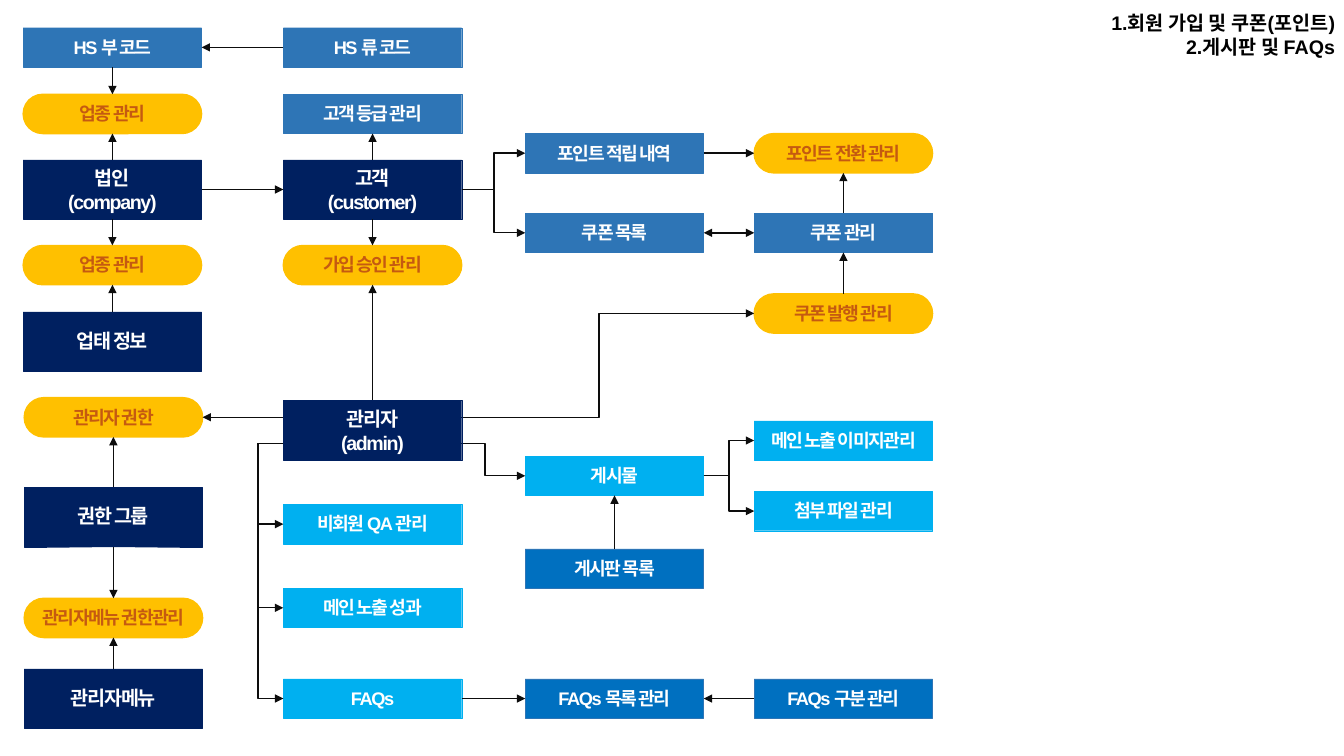
from typing import NamedTuple, Optional

from lxml import etree
from pptx import Presentation
from pptx.dml.color import RGBColor
from pptx.enum.shapes import MSO_CONNECTOR, MSO_SHAPE
from pptx.enum.text import MSO_ANCHOR, MSO_AUTO_SIZE, PP_ALIGN
from pptx.oxml.ns import qn
from pptx.util import Inches, Pt

RECT, ROUND = MSO_SHAPE.RECTANGLE, MSO_SHAPE.ROUNDED_RECTANGLE
STRAIGHT, ELBOW = MSO_CONNECTOR.STRAIGHT, MSO_CONNECTOR.ELBOW
CENTER, RIGHT_ALIGNED = PP_ALIGN.CENTER, PP_ALIGN.RIGHT
MIDDLE, FIT_TEXT = MSO_ANCHOR.MIDDLE, MSO_AUTO_SIZE.SHAPE_TO_FIT_TEXT
TOP, LEFT, BOTTOM, RIGHT = range(4)

COLORS = {
    "navy": "002060", "blue": "2E75B6", "royal": "0070C0", "sky": "00B0F0",
    "amber": "FFC000", "rust": "C55A11", "white": "FFFFFF",
    "ink": "0D0D0D", "black": "000000",
}
FONT = "Arial"

# Grid in inches: column left edges, box width, box heights
COLUMNS = {"company": 0.23, "rights": 0.24, "customer": 2.81, "list": 5.21, "manage": 7.48}
BOX_WIDTH = 1.77
TALL, LOW = 0.59, 0.39
INSET = 0.18  # how far lines start inside the admin box


class Style(NamedTuple):
    outline: str
    text: str = "white"
    height: float = LOW
    size: int = 13
    geometry: MSO_SHAPE = RECT
    line_width: float = 0.25


class Box(NamedTuple):
    column: str
    middle: float
    style: str
    lines: tuple[str, ...]


class Arrow(NamedTuple):
    source: str
    source_side: int
    target: str
    target_side: int
    two_way: bool = False


class Branch(NamedTuple):
    x: float
    y: float
    target: str
    lane: Optional[float]  # x of the vertical stretch; None for a straight line
    target_side: int = LEFT


STYLES = {
    "navy": Style("navy", height=TALL, size=14),
    "blue": Style("blue"),
    "royal": Style("blue"),
    "sky": Style("sky"),
    "amber": Style("amber", text="rust", geometry=ROUND, line_width=1),
}

BOXES = {
    # Company column
    "hs_section": Box("company", 0.47, "blue", ("HS 부 코드",)),
    "hs_business": Box("company", 1.13, "amber", ("업종 관리",)),
    "company": Box("company", 1.88, "navy", ("법인", "(company)")),
    "business": Box("company", 2.63, "amber", ("업종 관리",)),
    "business_type": Box("company", 3.39, "navy", ("업태 정보",)),
    # Administrator rights
    "admin_right": Box("rights", 4.14, "amber", ("관리자 권한",)),
    "right_group": Box("rights", 5.13, "navy", ("권한 그룹",)),
    "menu_right": Box("rights", 6.13, "amber", ("관리자메뉴 권한관리",)),
    "admin_menu": Box("rights", 6.93, "navy", ("관리자메뉴",)),
    # Customer and admin column
    "hs_chapter": Box("customer", 0.47, "blue", ("HS 류 코드",)),
    "grade": Box("customer", 1.13, "blue", ("고객 등급 관리",)),
    "customer": Box("customer", 1.88, "navy", ("고객", "(customer)")),
    "approval": Box("customer", 2.63, "amber", ("가입 승인 관리",)),
    "admin": Box("customer", 4.27, "navy", ("관리자", "(admin)")),
    "guest_qa": Box("customer", 5.2, "sky", ("비회원 QA 관리",)),
    "main_result": Box("customer", 6.03, "sky", ("메인 노출 성과",)),
    "faqs": Box("customer", 6.93, "sky", ("FAQs",)),
    # Lists
    "points": Box("list", 1.52, "blue", ("포인트 적립 내역",)),
    "coupons": Box("list", 2.31, "blue", ("쿠폰 목록",)),
    "post": Box("list", 4.72, "sky", ("게시물",)),
    "boards": Box("list", 5.64, "royal", ("게시판 목록",)),
    "faq_list": Box("list", 6.93, "royal", ("FAQs 목록 관리",)),
    # Management
    "point_exchange": Box("manage", 1.52, "amber", ("포인트 전환 관리",)),
    "coupon_manage": Box("manage", 2.31, "blue", ("쿠폰 관리",)),
    "coupon_issue": Box("manage", 3.11, "amber", ("쿠폰 발행 관리",)),
    "main_image": Box("manage", 4.37, "sky", ("메인 노출 이미지관리",)),
    "attachment": Box("manage", 5.07, "sky", ("첨부 파일 관리",)),
    "faq_kind": Box("manage", 6.93, "royal", ("FAQs 구분 관리",)),
}

ARROWS = [
    Arrow("hs_chapter", LEFT, "hs_section", RIGHT),
    Arrow("hs_section", BOTTOM, "hs_business", TOP),
    Arrow("company", TOP, "hs_business", BOTTOM),
    Arrow("company", BOTTOM, "business", TOP),
    Arrow("business_type", TOP, "business", BOTTOM),
    Arrow("company", RIGHT, "customer", LEFT),
    Arrow("customer", TOP, "grade", BOTTOM),
    Arrow("customer", BOTTOM, "approval", TOP),
    Arrow("admin", TOP, "approval", BOTTOM),
    Arrow("right_group", TOP, "admin_right", BOTTOM),
    Arrow("right_group", BOTTOM, "menu_right", TOP),
    Arrow("admin_menu", TOP, "menu_right", BOTTOM),
    Arrow("points", RIGHT, "point_exchange", LEFT),
    Arrow("coupon_manage", LEFT, "coupons", RIGHT, two_way=True),
    Arrow("coupon_manage", TOP, "point_exchange", BOTTOM),
    Arrow("coupon_issue", TOP, "coupon_manage", BOTTOM),
    Arrow("boards", TOP, "post", BOTTOM),
    Arrow("faqs", RIGHT, "faq_list", LEFT),
    Arrow("faq_kind", LEFT, "faq_list", RIGHT),
]

ADMIN_LEFT = COLUMNS["customer"] + INSET
CUSTOMER_EDGE = COLUMNS["customer"] + BOX_WIDTH
ADMIN_RIGHT = CUSTOMER_EDGE - INSET
POST_EDGE = COLUMNS["list"] + BOX_WIDTH
UPPER, LOWER = 4.14, 4.4  # heights at which lines leave the admin box

BRANCHES = [
    Branch(ADMIN_LEFT, UPPER, "admin_right", None, RIGHT),
    *(Branch(ADMIN_LEFT, LOWER, name, 2.56) for name in ("guest_qa", "main_result", "faqs")),
    Branch(ADMIN_RIGHT, UPPER, "coupon_issue", 5.94),
    Branch(ADMIN_RIGHT, LOWER, "post", 4.81),
    *(Branch(CUSTOMER_EDGE, 1.88, name, 4.9) for name in ("points", "coupons")),
    *(Branch(POST_EDGE, 4.72, name, 7.23) for name in ("main_image", "attachment")),
]


def rgb(name: str) -> RGBColor:
    return RGBColor.from_string(COLORS[name])


def write(frame, lines, size: int, color: str, align, spacing: int = 0) -> None:
    frame.text = "\n".join(lines)
    for paragraph in frame.paragraphs:
        paragraph.alignment = align
        font = paragraph.font
        font.name, font.size, font.bold = FONT, Pt(size), True
        font.color.rgb = rgb(color)
        if spacing:
            font._element.set("spc", str(spacing))


def draw_box(slide, box: Box):
    style = STYLES[box.style]
    shape = slide.shapes.add_shape(
        style.geometry, Inches(COLUMNS[box.column]), Inches(box.middle - style.height / 2),
        Inches(BOX_WIDTH), Inches(style.height))
    if style.geometry == ROUND:
        shape.adjustments[0] = 0.5
    shape.shadow.inherit = False
    shape.fill.solid()
    shape.fill.fore_color.rgb = rgb(box.style)
    shape.line.color.rgb = rgb(style.outline)
    shape.line.width = Pt(style.line_width)
    frame = shape.text_frame
    frame.word_wrap, frame.vertical_anchor = True, MIDDLE
    frame.margin_left = frame.margin_right = frame.margin_top = frame.margin_bottom = 0
    write(frame, box.lines, style.size, style.text, CENTER, spacing=-100)
    if len(box.lines) == 1:
        frame.margin_top = Inches(0.04)
        frame.paragraphs[0].line_spacing = Pt(12)
    return shape


def finish_line(line, two_way: bool = False) -> None:
    line.line.color.rgb = rgb("ink")
    line.line.width = Pt(1)
    outline = line.line._get_or_add_ln()
    for end in ("a:headEnd", "a:tailEnd") if two_way else ("a:tailEnd",):
        etree.SubElement(outline, qn(end), type="triangle")
    etree.SubElement(outline.getparent(), qn("a:effectLst"))


def draw_arrow(slide, arrow: Arrow, shapes: dict) -> None:
    line = slide.shapes.add_connector(STRAIGHT, 0, 0, 0, 0)
    line.begin_connect(shapes[arrow.source], arrow.source_side)
    line.end_connect(shapes[arrow.target], arrow.target_side)
    finish_line(line, arrow.two_way)


def draw_branch(slide, branch: Branch, shapes: dict) -> None:
    target = BOXES[branch.target]
    end_x = COLUMNS[target.column] + (BOX_WIDTH if branch.target_side == RIGHT else 0)
    kind = STRAIGHT if branch.lane is None else ELBOW
    line = slide.shapes.add_connector(
        kind, Inches(branch.x), Inches(branch.y), Inches(end_x), Inches(target.middle))
    if branch.lane is None:
        line.end_connect(shapes[branch.target], branch.target_side)
    else:
        share = (branch.lane - branch.x) / (end_x - branch.x)
        guides = next(line._element.iter(qn("a:avLst")))
        etree.SubElement(guides, qn("a:gd"), name="adj1", fmla=f"val {round(share * 100000)}")
    finish_line(line)


def main() -> None:
    deck = Presentation()
    deck.slide_width, deck.slide_height = Inches(13.33), Inches(7.5)
    slide = deck.slides.add_slide(deck.slide_layouts[6])

    # Boxes and lines
    shapes = {name: draw_box(slide, box) for name, box in BOXES.items()}
    for arrow in ARROWS:
        draw_arrow(slide, arrow, shapes)
    for branch in BRANCHES:
        draw_branch(slide, branch, shapes)

    # The admin box covers the starts of its lines
    admin = shapes["admin"]._element
    admin.getparent().append(admin)

    # Heading
    topics = slide.shapes.add_textbox(
        Inches(10.66), Inches(0.06), Inches(2.68), Inches(0.57)).text_frame
    topics.word_wrap, topics.auto_size = False, FIT_TEXT
    write(topics, ("1.회원 가입 및 쿠폰(포인트)", "2.게시판 및 FAQs"), 14, "black", RIGHT_ALIGNED)

    deck.save("out.pptx")


if __name__ == "__main__":
    main()
